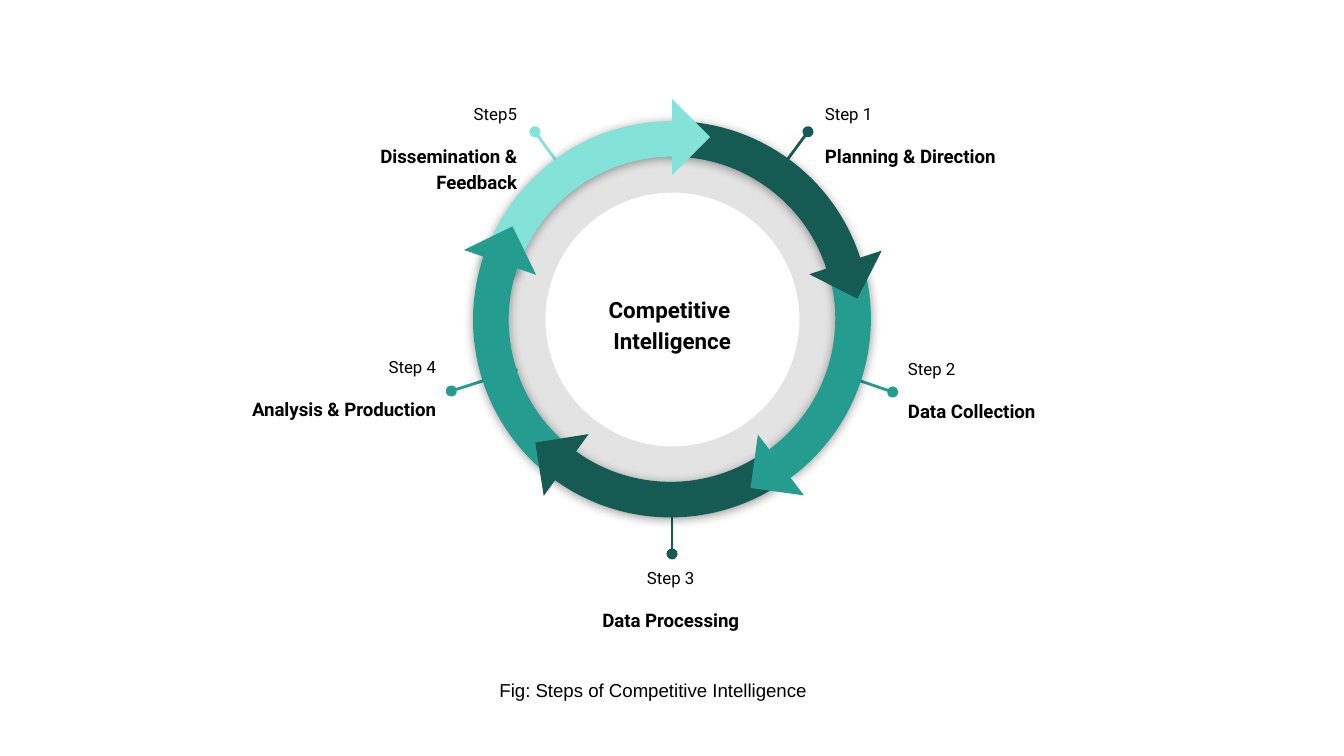
"""Build a slide showing the five-step competitive intelligence cycle."""
from lxml import etree
from pptx import Presentation
from pptx.dml.color import RGBColor
from pptx.enum import shapes, text
from pptx.oxml import ns
from pptx.util import Cm, Pt

DARK, TEAL, LIGHT = "155B54", "249C90", "83E3D9"
LEFT, CENTER, RIGHT = text.PP_ALIGN.LEFT, text.PP_ALIGN.CENTER, text.PP_ALIGN.RIGHT


def color(hex_code):
    return RGBColor.from_string(hex_code)


def add_filled(kind, left, top, width, height, fill, rotation=0):
    shape = slide.shapes.add_shape(kind, Cm(left), Cm(top), Cm(width), Cm(height))
    shape.shadow.inherit = False
    shape.fill.solid()
    shape.fill.fore_color.rgb = color(fill)
    shape.line.fill.background()
    shape.rotation = rotation
    return shape


presentation = Presentation()
presentation.slide_width, presentation.slide_height = Cm(25.4), Cm(14.29)
slide = presentation.slides.add_slide(presentation.slide_layouts[5])

title = slide.shapes.title
title.left, title.top, title.width, title.height = Cm(10.7), Cm(4.98), Cm(4.01), Cm(2.24)
frame = title.text_frame
frame.text = "Competitive \nIntelligence"
frame.word_wrap = True
frame.auto_size = text.MSO_AUTO_SIZE.NONE
frame.vertical_anchor = text.MSO_ANCHOR.MIDDLE
for paragraph in frame.paragraphs:
    paragraph.alignment = CENTER
    paragraph.line_spacing = 1.15
    paragraph.font.name, paragraph.font.size, paragraph.font.bold = "Roboto", Pt(12), True
    paragraph.font.color.rgb = color("020202")

ring = add_filled(shapes.MSO_SHAPE.DONUT, 9.18, 2.51, 7.06, 7.06, "000000")
ring.adjustments[0] = 0.16
ring_color = ring.fill._xPr.find(".//" + ns.qn("a:srgbClr"))
etree.SubElement(ring_color, ns.qn("a:alpha"), val="11000")

steps = [
    ("Step 1", "Planning & Direction", LEFT, DARK, (15.27, 2.49, 14.5, 3.53), (15.34, 1.65)),
    ("Step 2", "Data Collection", LEFT, TEAL, (16.87, 7.41, 15.65, 6.99), (16.91, 6.48)),
    ("Step 3", "Data Processing", CENTER, DARK, (12.7, 10.47, 12.7, 9.12), (10.59, 10.42)),
    ("Step 4", "Analysis & Production", RIGHT, TEAL, (8.53, 7.39, 9.78, 6.99), (4.32, 6.43)),
    ("Step5", "Dissemination & Feedback", RIGHT, LIGHT, (10.11, 2.49, 10.87, 3.53), (5.85, 1.65)),
]
for step, name, alignment, hue, ends, corner in steps:
    pointer = slide.shapes.add_connector(shapes.MSO_CONNECTOR.STRAIGHT, *map(Cm, ends))
    pointer.line.color.rgb = color(hue)
    pointer.line.width = Pt(1.5)
    etree.SubElement(pointer.line._get_or_add_ln(), ns.qn("a:headEnd"), type="oval")
    etree.SubElement(pointer._element.spPr, ns.qn("a:effectLst"))

    label = slide.shapes.add_textbox(*map(Cm, corner), Cm(4.17), Cm(1.85))
    frame = label.text_frame
    frame.word_wrap = True
    frame.margin_left = frame.margin_right = frame.margin_top = frame.margin_bottom = Cm(0.25)
    frame.text = f"{step}\n{name}"
    for paragraph, size, bold, gap in zip(frame.paragraphs, (9, 10), (False, True), (0, 9.5)):
        paragraph.alignment = alignment
        paragraph.line_spacing = 1.15
        paragraph.space_before = Pt(gap)
        paragraph.font.name, paragraph.font.size, paragraph.font.bold = "Roboto", Pt(size), bold
        paragraph.font.color.rgb = color("000000")

arcs = [
    (8.97, 2.29, 30, False, DARK, (144.14, 189.99, 0.09)),
    (8.99, 2.29, 210, True, TEAL, (201.79, 26.24, 0.09)),
    (8.97, 2.29, 330, True, LIGHT, (143.34, 188.55, 0.09)),
    (8.94, 2.31, 150, False, TEAL, (201.85, 30.07, 0.09)),
    (8.94, 2.31, 210, True, DARK, (157.39, 200.08, 0.09)),
]
for left, top, rotation, flipped, hue, proportions in arcs:
    arc = add_filled(shapes.MSO_SHAPE.BLOCK_ARC, left, top, 7.47, 7.47, hue, rotation)
    for index, proportion in enumerate(proportions):
        arc.adjustments[index] = proportion
    if flipped:
        arc._element.spPr.xfrm.set("flipH", "1")
    effects = arc._element.spPr.find(ns.qn("a:effectLst"))
    shadow = etree.SubElement(effects, ns.qn("a:outerShdw"), blurRad=str(Pt(5.6)),
                              dist=str(Pt(0.8)), dir="5400000", rotWithShape="0")
    shadow_color = etree.SubElement(shadow, ns.qn("a:srgbClr"), val="000000")
    etree.SubElement(shadow_color, ns.qn("a:alpha"), val="40000")

arrowheads = [
    (15.47, 4.45, 297, DARK),
    (14.25, 8.28, 7.9, TEAL),
    (10.19, 8.28, 81, DARK),
    (8.94, 4.45, 154, TEAL),
    (12.19, 2.08, 225, LIGHT),
]
for left, top, rotation, hue in arrowheads:
    add_filled(shapes.MSO_SHAPE.RIGHT_TRIANGLE, left, top, 1.02, 1.02, hue, rotation)

caption = add_filled(shapes.MSO_SHAPE.RECTANGLE, 9.19, 12.62, 7.98, 0.84, "FFFFFF")
frame = caption.text_frame
frame.text = "Fig: Steps of Competitive Intelligence"
frame.vertical_anchor = text.MSO_ANCHOR.MIDDLE
paragraph = frame.paragraphs[0]
paragraph.alignment = LEFT
paragraph.font.name, paragraph.font.size = "Arial", Pt(10)
paragraph.font.color.rgb = color("000000")

presentation.save("out.pptx")
